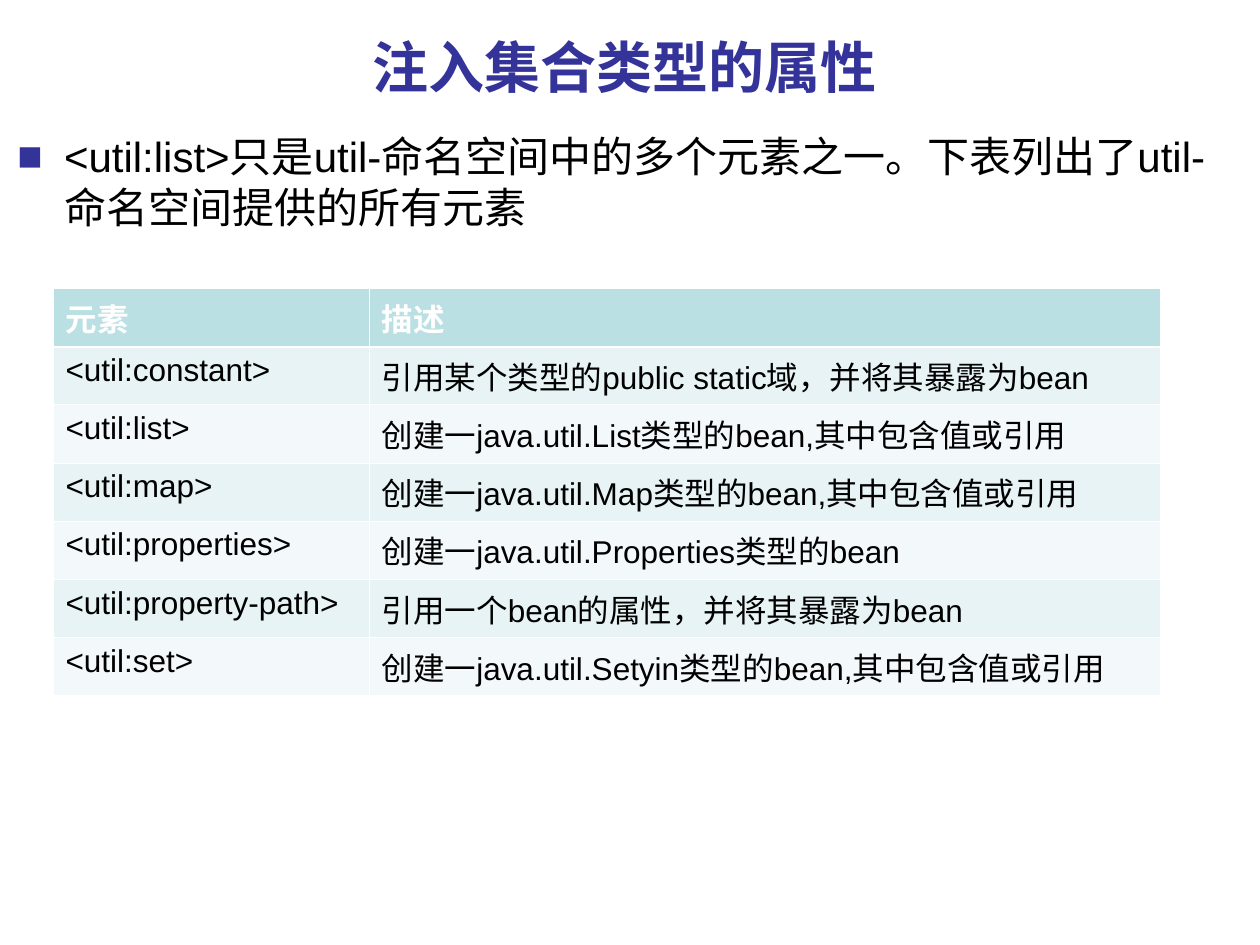
import pptx
import pptx.dml.color
import pptx.enum.text
import pptx.oxml.ns
import pptx.util
from lxml import etree

TITLE = "注入集合类型的属性"
INTRO = "<util:list>只是util-命名空间中的多个元素之一。下表列出了util-命名空间提供的所有元素"
ROWS = [
    ("元素", "描述"),
    ("<util:constant>", "引用某个类型的public static域，并将其暴露为bean"),
    ("<util:list>", "创建一java.util.List类型的bean,其中包含值或引用"),
    ("<util:map>", "创建一java.util.Map类型的bean,其中包含值或引用"),
    ("<util:properties>", "创建一java.util.Properties类型的bean"),
    ("<util:property-path>", "引用一个bean的属性，并将其暴露为bean"),
    ("<util:set>", "创建一java.util.Setyin类型的bean,其中包含值或引用"),
]
COLUMNS = (2.51, 6.28)
TABLE_HEIGHT = 3.23
HEADER_FILL = "BBE0E3"
BAND_FILLS = ("F3F9FA", "E7F3F4")
ACCENT, BLACK, WHITE = "333399", "000000", "FFFFFF"
THIN, THICK = 0.45, 1.47


def colour(value):
    return pptx.dml.color.RGBColor.from_string(value)


def inches(*lengths):
    return [pptx.util.Inches(length) for length in lengths]


def add_span(para, text, size, value, bold=False):
    span = para.add_run()
    span.text = text
    span.font.name = "Arial"
    span.font.size = pptx.util.Pt(size)
    span.font.bold = bold
    span.font.color.rgb = colour(value)


def add_element(parent, tag, **attributes):
    element = etree.SubElement(parent, pptx.oxml.ns.qn(tag))
    for name, value in attributes.items():
        element.set(name, str(value))
    return element


def set_borders(cell, top, bottom):
    properties = cell._tc.get_or_add_tcPr()
    widths = {"a:lnL": THIN, "a:lnR": THIN, "a:lnT": top, "a:lnB": bottom}
    for tag, width in widths.items():
        line = add_element(properties, tag, w=int(pptx.util.Pt(width)))
        add_element(add_element(line, "a:solidFill"), "a:srgbClr", val=WHITE)


def add_title(page):
    title = page.shapes.title
    title.left, title.top, title.width, title.height = inches(0.04, 0.13, 9.84, 0.79)
    frame = title.text_frame
    frame.auto_size = pptx.enum.text.MSO_AUTO_SIZE.NONE
    frame.vertical_anchor = pptx.enum.text.MSO_ANCHOR.MIDDLE
    para = frame.paragraphs[0]
    para.alignment = pptx.enum.text.PP_ALIGN.CENTER
    add_span(para, TITLE, 32, ACCENT, True)


def add_intro(page):
    box = page.shapes.add_textbox(*inches(0.04, 0.99, 9.92, 6.46))
    box.text_frame.word_wrap = True
    para = box.text_frame.paragraphs[0]
    properties = para._p.get_or_add_pPr()
    indent = int(pptx.util.Inches(0.37))
    properties.set("marL", str(indent))
    properties.set("indent", str(-indent))
    add_element(add_element(properties, "a:buClr"), "a:srgbClr", val=ACCENT)
    add_element(properties, "a:buFont", typeface="Arial")
    add_element(properties, "a:buChar", char="■")
    add_span(para, INTRO, 24, BLACK)


def add_elements_table(page):
    size = (sum(COLUMNS), TABLE_HEIGHT)
    table = page.shapes.add_table(len(ROWS), len(COLUMNS), *inches(0.42, 2.29, *size)).table
    for column, width in zip(table.columns, COLUMNS):
        column.width = pptx.util.Inches(width)
    for row, texts in enumerate(ROWS):
        header = row == 0
        for column, text in enumerate(texts):
            cell = table.cell(row, column)
            set_borders(cell, THICK if row == 1 else THIN, THICK if header else THIN)
            cell.fill.solid()
            cell.fill.fore_color.rgb = colour(HEADER_FILL if header else BAND_FILLS[row % 2])
            add_span(cell.text_frame.paragraphs[0], text, 18, WHITE if header else BLACK, header)


def main():
    deck = pptx.Presentation()
    deck.slide_width, deck.slide_height = inches(10, 7.5)
    page = deck.slides.add_slide(deck.slide_layouts[5])
    add_title(page)
    add_intro(page)
    add_elements_table(page)
    deck.save("out.pptx")


if __name__ == "__main__":
    main()
